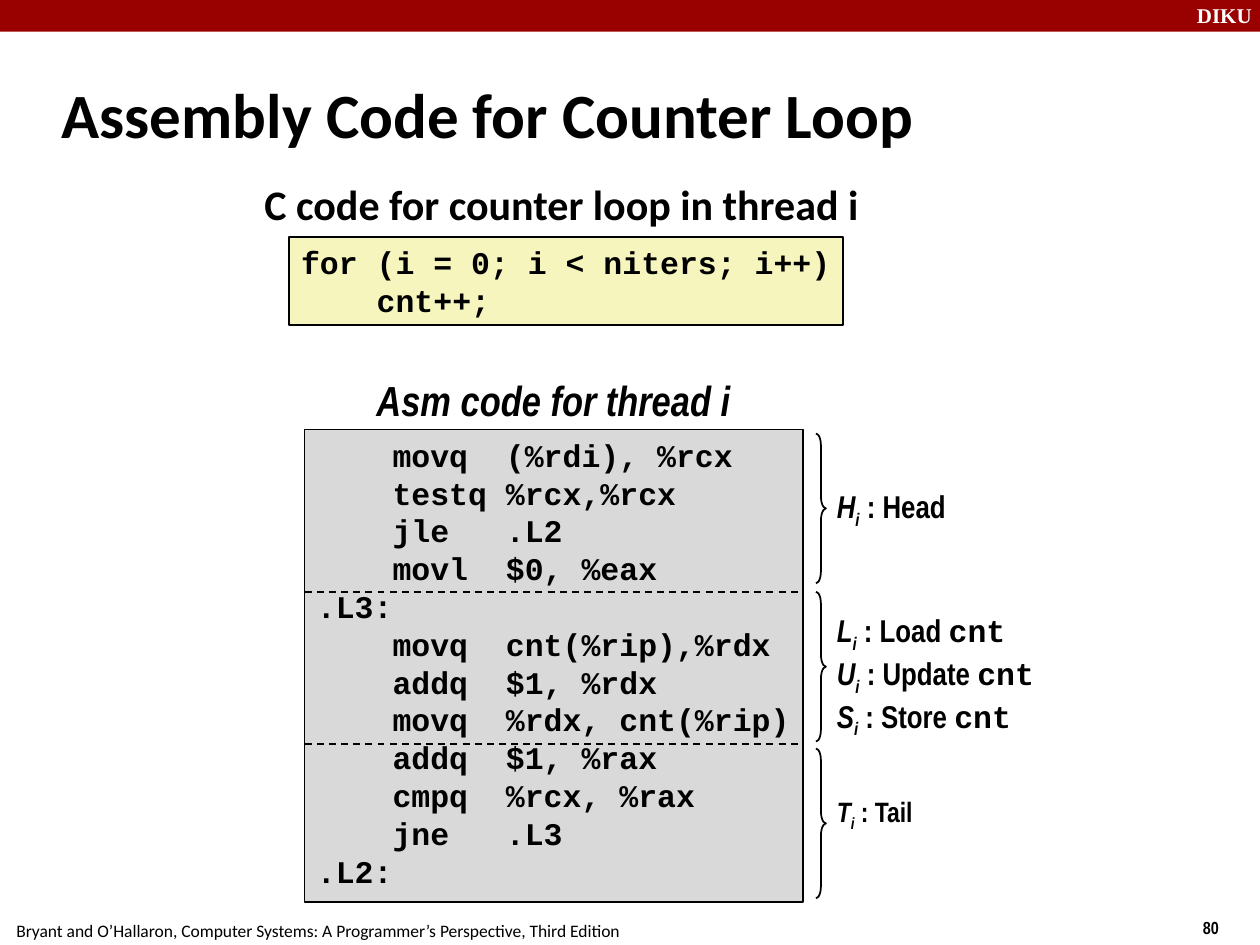
from dataclasses import dataclass

from lxml.etree import SubElement
from pptx import Presentation
from pptx.dml.color import RGBColor
from pptx.enum.dml import MSO_LINE
from pptx.enum.shapes import MSO_CONNECTOR, MSO_SHAPE
from pptx.enum.text import MSO_ANCHOR, MSO_AUTO_SIZE, PP_ALIGN
from pptx.oxml.ns import qn
from pptx.util import Cm, Pt


@dataclass(frozen=True)
class Theme:
    black: str = "000000"
    white: str = "FFFFFF"
    red: str = "990000"
    cream: str = "F6F5BD"
    grey: str = "D9D9D9"
    sans: str = "Calibri"
    slim: str = "Arial Narrow"
    mono: str = "Courier New"
    serif: str = "Times New Roman"
    title: int = 36
    head: int = 24
    code: int = 18
    tail: int = 16
    brand: int = 12
    foot: int = 10


THEME = Theme()


@dataclass(frozen=True)
class Box:
    left: float
    top: float
    width: float
    height: float

    def cm(self) -> tuple:
        return Cm(self.left), Cm(self.top), Cm(self.width), Cm(self.height)


@dataclass(frozen=True)
class Style:
    face: str
    size: int
    bold: bool = True
    slant: bool = False
    color: str = THEME.black


@dataclass(frozen=True)
class Step:
    sign: str
    name: str
    code: str = ""


@dataclass(frozen=True)
class Label:
    box: Box
    size: int
    steps: tuple


MONO = Style(THEME.mono, THEME.code)

LOOP = """for (i = 0; i < niters; i++)
    cnt++;"""

ASM = """    movq  (%rdi), %rcx
    testq %rcx,%rcx
    jle   .L2
    movl  $0, %eax
.L3:
    movq  cnt(%rip),%rdx
    addq  $1, %rdx
    movq  %rdx, cnt(%rip)
    addq  $1, %rax
    cmpq  %rcx, %rax
    jne   .L3
.L2:"""

LABELS = (
    Label(Box(16.62, 9.7, 3.2, 1.12), THEME.code, (Step("H", "Head"),)),
    Label(Box(16.62, 12.19, 4.6, 2.84), THEME.code,
          (Step("L", "Load ", "cnt"), Step("U", "Update ", "cnt"),
           Step("S", "Store ", "cnt"))),
    Label(Box(16.62, 15.9, 2.4, 1.02), THEME.tail, (Step("T", "Tail"),)),
)


def paint(run, style: Style) -> None:
    font = run.font
    font.name = style.face
    font.size = Pt(style.size)
    font.bold = style.bold
    font.italic = style.slant
    font.color.rgb = RGBColor.from_string(style.color)


def write(shape, text: str, style: Style, wrap: bool = True,
          anchor=MSO_ANCHOR.TOP) -> None:
    frame = shape.text_frame
    frame.text = text
    frame.word_wrap = wrap
    frame.auto_size = MSO_AUTO_SIZE.NONE
    frame.vertical_anchor = anchor
    for para in frame.paragraphs:
        para.alignment = PP_ALIGN.LEFT
        for run in para.runs:
            paint(run, style)


def add_text(slide, box: Box, text: str, style: Style, wrap: bool = True,
             anchor=MSO_ANCHOR.TOP) -> None:
    write(slide.shapes.add_textbox(*box.cm()), text, style, wrap, anchor)


def add_rect(slide, box: Box, fill: str, edge: bool = True):
    rect = slide.shapes.add_shape(MSO_SHAPE.RECTANGLE, *box.cm())
    rect.shadow.inherit = False
    rect.fill.solid()
    rect.fill.fore_color.rgb = RGBColor.from_string(fill)
    if edge:
        ink(rect)
    else:
        rect.line.fill.background()
    return rect


def ink(shape) -> None:
    shape.line.color.rgb = RGBColor.from_string(THEME.black)
    shape.line.width = Pt(1)


def add_brace(slide, box: Box) -> None:
    brace = slide.shapes.add_shape(MSO_SHAPE.RIGHT_BRACE, *box.cm())
    brace.shadow.inherit = False
    brace.fill.background()
    brace.adjustments[0] = 1.23
    ink(brace)


def add_rule(slide, left: float, right: float, top: float) -> None:
    rule = slide.shapes.add_connector(
        MSO_CONNECTOR.STRAIGHT, Cm(left), Cm(top), Cm(right), Cm(top))
    ink(rule)
    rule.line.dash_style = MSO_LINE.DASH
    SubElement(rule._element.spPr, qn("a:effectLst"))


def add_label(slide, label: Label) -> None:
    frame = slide.shapes.add_textbox(*label.box.cm()).text_frame
    frame.word_wrap = True
    frame.vertical_anchor = MSO_ANCHOR.MIDDLE
    slant = Style(THEME.slim, label.size, slant=True)
    plain = Style(THEME.slim, label.size)
    for rank, step in enumerate(label.steps):
        para = frame.add_paragraph() if rank else frame.paragraphs[0]
        parts = ((step.sign, slant), ("i", slant),
                 (f" : {step.name}", plain), (step.code, MONO))
        for text, style in parts:
            if text:
                run = para.add_run()
                run.text = text
                paint(run, style)
        para.runs[1].font._element.set("baseline", "-25000")


def main() -> None:
    deck = Presentation()
    deck.slide_width, deck.slide_height = Cm(25.4), Cm(19.05)
    slide = deck.slides.add_slide(deck.slide_layouts[5])
    middle = MSO_ANCHOR.MIDDLE

    add_rect(slide, Box(0, 0, 25.4, 0.64), THEME.red, edge=False)
    add_text(slide, Box(23.88, -0.08, 1.7, 0.76), "DIKU",
             Style(THEME.serif, THEME.brand, color=THEME.white))
    add_text(slide, Box(24, 18.36, 1.4, 0.74), "80",
             Style(THEME.slim, THEME.foot))
    add_text(slide, Box(0.08, 18.42, 12.67, 0.66),
             "Bryant and O’Hallaron, Computer Systems: "
             "A Programmer’s Perspective, Third Edition",
             Style(THEME.sans, THEME.foot, bold=False), wrap=False)

    title = slide.shapes.title
    title.left, title.top, title.width, title.height = Box(
        0.99, 1.22, 21.08, 2.11).cm()
    write(title, "Assembly Code for Counter Loop",
          Style(THEME.sans, THEME.title), anchor=middle)

    add_text(slide, Box(5.08, 3.48, 13.49, 1.27),
             "C code for counter loop in thread i",
             Style(THEME.sans, THEME.head), anchor=middle)
    loop = add_rect(slide, Box(5.82, 4.78, 11.18, 1.78), THEME.cream)
    write(loop, LOOP, MONO, wrap=False, anchor=middle)

    add_text(slide, Box(7.34, 7.42, 8.4, 1.27), "Asm code for thread i",
             Style(THEME.slim, THEME.head, slant=True), anchor=middle)
    pane = Box(6.14, 8.66, 10.05, 9.53)
    write(add_rect(slide, pane, THEME.grey), ASM, MONO)
    for top in (11.93, 15):
        add_rule(slide, pane.left, pane.left + pane.width, top)

    for top in (8.74, 11.93, 15.09):
        add_brace(slide, Box(16.45, top, 0.2, 3.02))
    for label in LABELS:
        add_label(slide, label)

    deck.save("out.pptx")


if __name__ == "__main__":
    main()
